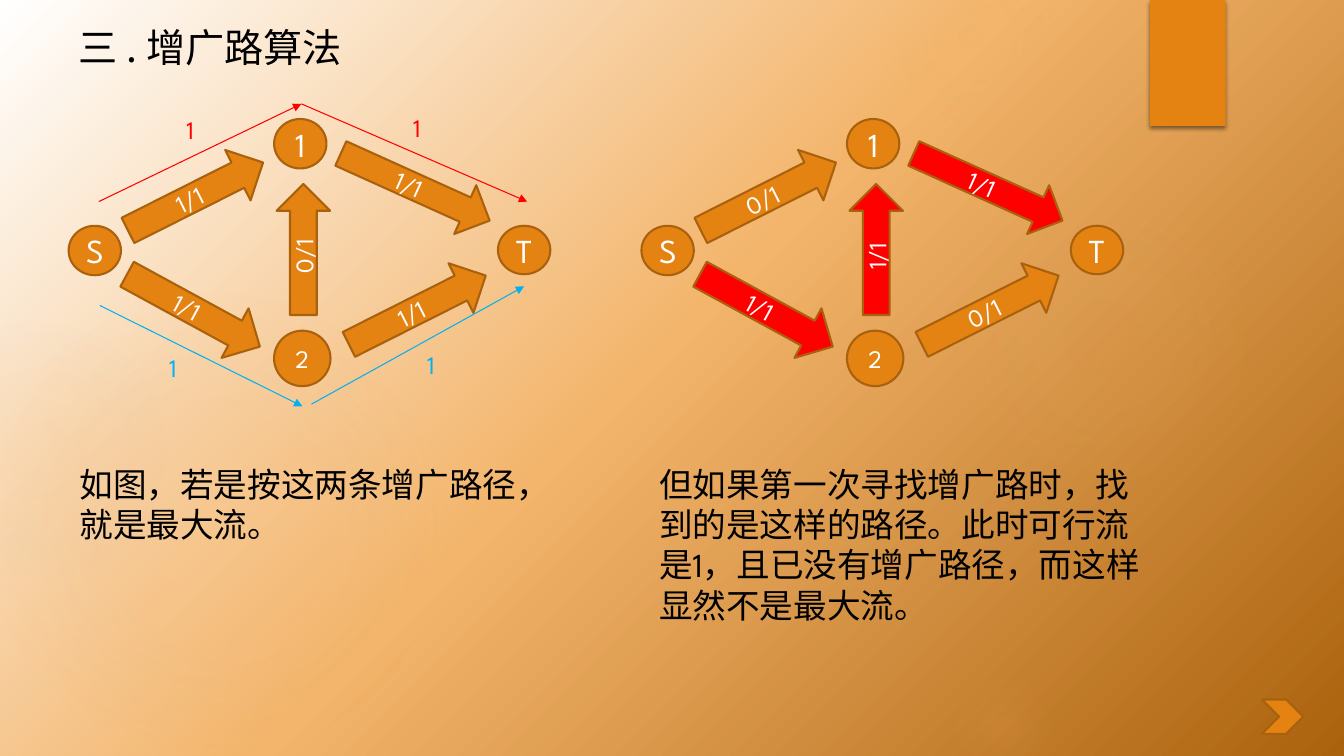
from lxml.etree import SubElement
from pptx import Presentation
from pptx.dml.color import RGBColor
from pptx.enum.shapes import MSO_CONNECTOR, MSO_SHAPE as Shape
from pptx.enum.text import MSO_ANCHOR, MSO_AUTO_SIZE, PP_ALIGN
from pptx.oxml.ns import qn
from pptx.util import Pt

ORANGE, BROWN, PEACH, RED, BLUE = "E48312", "A9610D", "F3B56C", "FF0000", "00B0F0"
LATIN, CHINESE = "League Spartan", "Noto Sans CJK SC"
rgb = RGBColor.from_string


def set_gradient(fill, owner, stops):
    """Replace the stops of a gradient; each stop is position, colour, opacity in percent."""
    fill.gradient()
    gradient = next(owner.iter(qn("a:gradFill")))
    stop_list = gradient.find(qn("a:gsLst"))
    for old_stop in list(stop_list):
        stop_list.remove(old_stop)
    for position, color, opacity in stops:
        stop = SubElement(stop_list, qn("a:gs"), pos=str(position * 1000))
        color_element = SubElement(stop, qn("a:srgbClr"), val=color)
        SubElement(color_element, qn("a:alpha"), val=str(opacity * 1000))
    return gradient


def write(shape, text, size, color, font_name=LATIN):
    shape.text_frame.word_wrap = True
    paragraph = shape.text_frame.paragraphs[0]
    paragraph.text = text
    font = paragraph.font
    font.size = Pt(size)
    font.color.rgb = rgb(color)
    font.name = font_name
    SubElement(font._element, qn("a:ea"), typeface=font_name)


presentation = Presentation()
presentation.slide_width, presentation.slide_height = Pt(960), Pt(540)
slide = presentation.slides.add_slide(presentation.slide_layouts[5])
shapes = slide.shapes

# Background with soft glows
background = slide.background.fill
set_gradient(background, slide._element,
             [(0, "FFFFFF", 100), (48, PEACH, 100), (100, "AB620D", 100)])
background.gradient_angle = 315

glows = [  # left, top, diameter, stops
    (-12, 210, 330, [(0, PEACH, 11), (36, PEACH, 10), (75, PEACH, 0)]),
    (-66, 228, 186, [(0, PEACH, 8), (36, PEACH, 5), (71, "A2AF92", 0)]),
    (678, 132, 222, [(0, PEACH, 7), (36, PEACH, 6), (69, PEACH, 0)]),
    (630, -36, 126, [(0, PEACH, 14), (36, PEACH, 7), (73, PEACH, 0)]),
    (678, 480, 78, [(0, PEACH, 10), (31, PEACH, 5), (66, PEACH, 0)]),
]
for left, top, diameter, stops in glows:
    glow = shapes.add_shape(Shape.OVAL, Pt(left), Pt(top), Pt(diameter), Pt(diameter))
    glow.shadow.inherit = False
    glow.line.fill.background()
    gradient = set_gradient(glow.fill, glow._element, stops)
    gradient.remove(gradient.find(qn("a:lin")))
    circle = SubElement(gradient, qn("a:path"), path="circle")
    SubElement(circle, qn("a:fillToRect"), l="50000", t="50000", r="50000", b="50000")

# Bookmark in the top right corner
bookmark = shapes.add_shape(Shape.RECTANGLE, Pt(821.5), 0, Pt(54), Pt(90))
bookmark.fill.solid()
bookmark.fill.fore_color.rgb = rgb(ORANGE)
bookmark.line.fill.background()
bookmark.shadow.inherit = False
effects = bookmark._element.spPr.find(qn("a:effectLst"))
shadow = SubElement(effects, qn("a:outerShdw"), blurRad=str(Pt(3)), dist=str(Pt(2)),
                    dir="5400000", rotWithShape="0")
shadow_color = SubElement(shadow, qn("a:srgbClr"), val="000000")
SubElement(shadow_color, qn("a:alpha"), val="45000")

# Title
title = shapes.title
title.left, title.top, title.width, title.height = Pt(49), Pt(13), Pt(626.4), Pt(41)
write(title, "三 . 增广路算法", 28, "000000", CHINESE)
title.text_frame.auto_size = MSO_AUTO_SIZE.NONE
title.text_frame.vertical_anchor = MSO_ANCHOR.MIDDLE
title.text_frame.paragraphs[0].alignment = PP_ALIGN.LEFT

# The same flow network twice, with different flows
nodes = [  # label, left, top, width, height, text size
    ("S", 49, 161.3, 37.4, 35.3, 24),
    ("1", 195.8, 85, 37.4, 35.3, 24),
    ("T", 355.7, 161.3, 37.4, 34.6, 24),
    ("2", 195.8, 236.2, 40.3, 39.6, 18),
]
edges = {  # left, top, width, height, rotation
    "S1": (85.7, 120.2, 108, 40.3, 333.3),
    "1T": (238.3, 114.5, 116.6, 38.2, 24.3),
    "S2": (84.2, 201.6, 108, 40.3, 28.6),
    "21": (169.9, 159.1, 93.6, 38.2, 270),
    "2T": (243.4, 201.6, 109.4, 39.6, 333.3),
}
networks = [  # horizontal offset, edges that carry flow, highlighted edges
    (0, {"S1", "1T", "S2", "2T"}, set()),
    (409.2, {"S2", "21", "1T"}, {"S2", "21", "1T"}),
]
parts = []  # preset, left, top, width, height, rotation, fill, label, text size
for offset, used, highlighted in networks:
    for label, left, top, width, height, size in nodes:
        parts.append((Shape.FLOWCHART_CONNECTOR, left + offset, top, width, height, 0,
                      ORANGE, label, size))
    for edge, (left, top, width, height, rotation) in edges.items():
        parts.append((Shape.RIGHT_ARROW, left + offset, top, width, height, rotation,
                      RED if edge in highlighted else ORANGE,
                      "1/1" if edge in used else "0/1", 18))
parts.append((Shape.CHEVRON, 901.4, 499.7, 29.5, 24.5, 0, ORANGE, "", 18))

for preset, left, top, width, height, rotation, color, label, size in parts:
    part = shapes.add_shape(preset, Pt(left), Pt(top), Pt(width), Pt(height))
    part.rotation = rotation
    part.shadow.inherit = False
    part.fill.solid()
    part.fill.fore_color.rgb = rgb(color)
    part.line.color.rgb = rgb(BROWN)
    part.line.width = Pt(1.5)
    if label:
        write(part, label, size, "FFFFFF")

# Augmenting paths around the first network
path_lines = [  # start x, start y, end x, end y, colour
    (70.6, 144, 215.3, 74.2, RED),
    (215.3, 74.2, 376.6, 144, RED),
    (71.3, 218.2, 216, 290.2, BLUE),
    (222.5, 288.7, 374.4, 204.5, BLUE),
]
for start_x, start_y, end_x, end_y, color in path_lines:
    arrow = shapes.add_connector(MSO_CONNECTOR.STRAIGHT, Pt(start_x), Pt(start_y),
                                 Pt(end_x), Pt(end_y))
    arrow.line.color.rgb = rgb(color)
    arrow.line.width = Pt(0.75)
    SubElement(arrow.line._get_or_add_ln(), qn("a:tailEnd"), type="triangle")
    SubElement(arrow._element.spPr, qn("a:effectLst"))

# Path flows and explanations
texts = [  # text, left, top, width, height, size, colour
    ("1", 126, 77.8, 40.3, 28.8, 18, RED),
    ("1", 288, 77, 40.3, 28.8, 18, RED),
    ("1", 113.8, 248.4, 40.3, 28.8, 18, BLUE),
    ("1", 298.1, 246.2, 40.3, 28.8, 18, BLUE),
    ("如图，若是按这两条增广路径，就是最大流。", 49.7, 327.6, 371.5, 65.5, 24, "000000"),
    ("但如果第一次寻找增广路时，找到的是这样的路径。此时可行流是1，"
     "且已没有增广路径，而这样显然不是最大流。", 463.7, 327.6, 363.6, 123.8, 24, "000000"),
]
for text, left, top, width, height, size, color in texts:
    box = shapes.add_textbox(Pt(left), Pt(top), Pt(width), Pt(height))
    write(box, text, size, color)

presentation.save("out.pptx")
